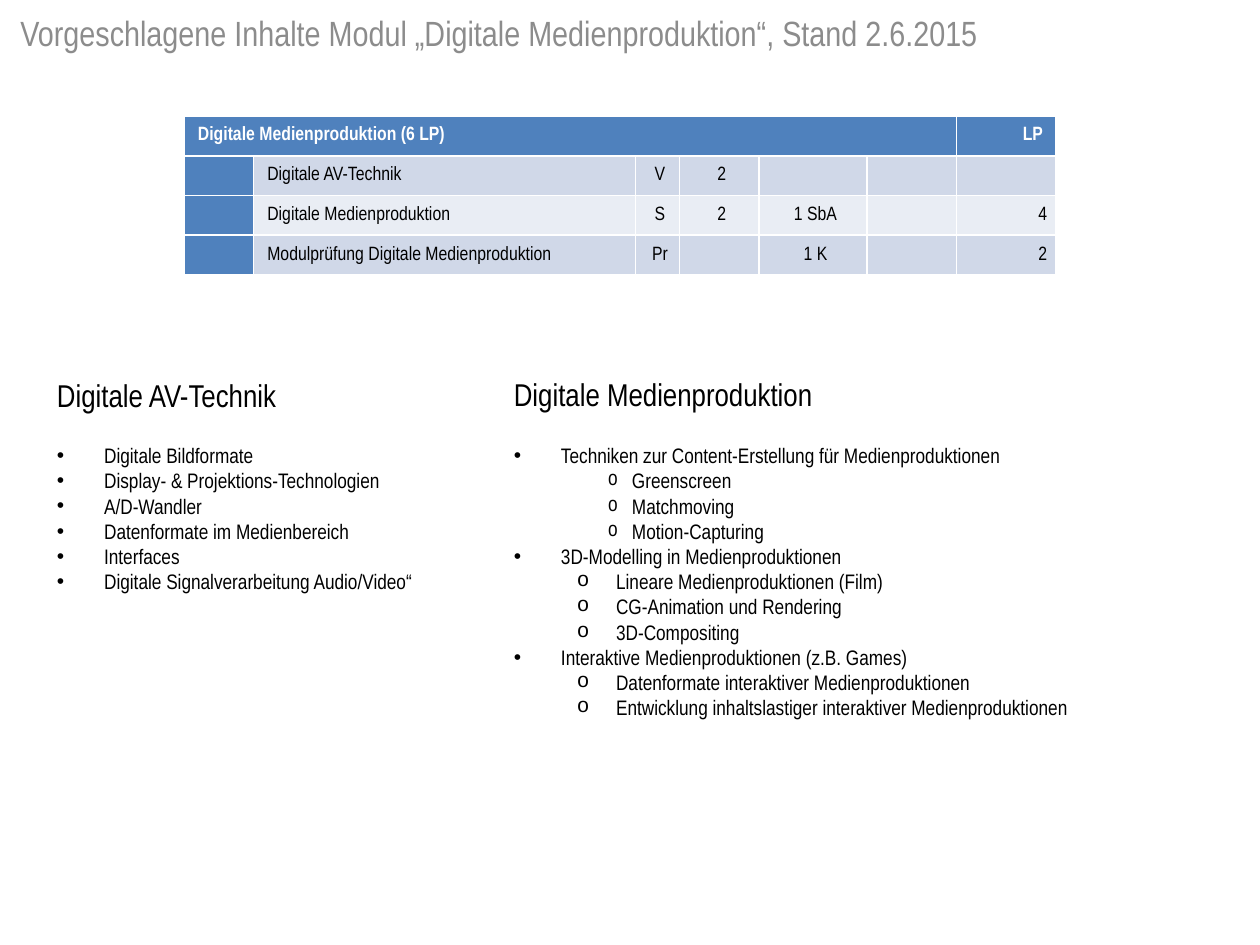
from dataclasses import dataclass

from lxml.etree import SubElement
from pptx import Presentation
from pptx.dml.color import RGBColor
from pptx.enum.text import MSO_ANCHOR, PP_ALIGN as Align
from pptx.oxml.ns import qn
from pptx.util import Cm, Pt


@dataclass(frozen=True)
class Theme:
    font: str = "Arial Narrow"
    title_size: int = 20
    heading_size: int = 18
    list_size: int = 12
    table_size: int = 11
    title: str = "8C8C8C"
    text: str = "000000"
    header_text: str = "FFFFFF"
    accent: str = "4F81BD"
    bands: tuple = ("D0D8E8", "E9EDF4")


THEME = Theme()

# Bullet character, bullet font, left margin and hanging indent in cm
TOPIC = ("•", "Arial", 0.95, 0.95)
METHOD = ("o", THEME.font, 2.38, 0.48)
DETAIL = ("o", "Courier New", 2.06, 0.79)

COLUMN_WIDTHS = (1.4, 7.7, 0.89, 1.6, 2.18, 1.8, 2.01)
COLUMN_ALIGNMENTS = (Align.LEFT, Align.LEFT, *[Align.CENTER] * 4, Align.RIGHT)
ROW_HEIGHT = 0.8
MODULE_ROWS = (
    ("Digitale Medienproduktion (6 LP)", "", "", "", "", "", "LP\u00a0"),
    ("", "Digitale AV-Technik", "V", "2", "", "", ""),
    ("", "Digitale Medienproduktion", "S", "2", "1 SbA", "", "4"),
    ("", "Modulprüfung Digitale Medienproduktion", "Pr", "", "1 K", "", "2"),
)

AV_TOPICS = (
    (TOPIC, "Digitale Bildformate"),
    (TOPIC, "Display- & Projektions-Technologien"),
    (TOPIC, "A/D-Wandler"),
    (TOPIC, "Datenformate im Medienbereich"),
    (TOPIC, "Interfaces"),
    (TOPIC, "Digitale Signalverarbeitung Audio/Video“"),
)
PRODUCTION_TOPICS = (
    (TOPIC, "Techniken zur Content-Erstellung für Medienproduktionen"),
    (METHOD, "Greenscreen"),
    (METHOD, "Matchmoving"),
    (METHOD, "Motion-Capturing"),
    (TOPIC, "3D-Modelling in Medienproduktionen"),
    (DETAIL, "Lineare Medienproduktionen (Film)"),
    (DETAIL, "CG-Animation und Rendering"),
    (DETAIL, "3D-Compositing"),
    (TOPIC, "Interaktive Medienproduktionen (z.B. Games)"),
    (DETAIL, "Datenformate interaktiver Medienproduktionen"),
    (DETAIL, "Entwicklung inhaltslastiger interaktiver Medienproduktionen"),
)


def style_font(paragraph, size, color=THEME.text, bold=False):
    font = paragraph.font
    font.name = THEME.font
    font.size = Pt(size)
    font.bold = bold
    font.color.rgb = RGBColor.from_string(color)


def add_text_frame(slide, left, top, width, height, wrap=True):
    box = slide.shapes.add_textbox(Cm(left), Cm(top), Cm(width), Cm(height))
    box.text_frame.word_wrap = wrap
    return box.text_frame


def add_line(slide, text, place, size, color=THEME.text, wrap=False):
    paragraph = add_text_frame(slide, *place, wrap).paragraphs[0]
    paragraph.text = text
    style_font(paragraph, size, color)


def set_bullet(paragraph, character, font, margin, hanging):
    properties = paragraph._p.get_or_add_pPr()
    properties.set("marL", str(Cm(margin)))
    properties.set("indent", str(-Cm(hanging)))
    SubElement(properties, qn("a:buFont"), typeface=font)
    SubElement(properties, qn("a:buChar"), char=character)


def add_bullet_list(slide, items, place):
    frame = add_text_frame(slide, *place)
    for index, (bullet, text) in enumerate(items):
        paragraph = frame.add_paragraph() if index else frame.paragraphs[0]
        paragraph.text = text
        paragraph.level = 1 if bullet is DETAIL else 0
        set_bullet(paragraph, *bullet)
        style_font(paragraph, THEME.list_size)


def fill_cell(cell, text, alignment, fill, color, bold):
    cell.fill.solid()
    cell.fill.fore_color.rgb = RGBColor.from_string(fill)
    cell.vertical_anchor = MSO_ANCHOR.MIDDLE
    cell.margin_left = cell.margin_right = Cm(0.18)
    cell.margin_top = cell.margin_bottom = 0
    paragraph = cell.text_frame.paragraphs[0]
    paragraph.text = text
    paragraph.alignment = alignment
    paragraph._p.get_or_add_pPr().set("marL", str(Cm(0.1)))
    if text:
        paragraph.space_before = paragraph.space_after = Pt(3)
    style_font(paragraph, THEME.table_size, color, bold)


def add_module_table(slide, left, top):
    """The table style supplies the white rules between the cells."""
    size = Cm(sum(COLUMN_WIDTHS)), Cm(ROW_HEIGHT * len(MODULE_ROWS))
    table = slide.shapes.add_table(
        len(MODULE_ROWS), len(COLUMN_WIDTHS), Cm(left), Cm(top), *size).table
    table.first_col = True
    for column, width in zip(table.columns, COLUMN_WIDTHS):
        column.width = Cm(width)
    for row_index, values in enumerate(MODULE_ROWS):
        table.rows[row_index].height = Cm(ROW_HEIGHT)
        header = row_index == 0
        band = THEME.bands[(row_index - 1) % 2]
        for column_index, text in enumerate(values):
            fill_cell(
                table.cell(row_index, column_index), text,
                COLUMN_ALIGNMENTS[column_index],
                THEME.accent if header or column_index == 0 else band,
                THEME.header_text if header else THEME.text, header)
    table.cell(0, 0).merge(table.cell(0, len(COLUMN_WIDTHS) - 2))


def main():
    presentation = Presentation()
    presentation.slide_width, presentation.slide_height = Cm(25.4), Cm(19.05)
    slide = presentation.slides.add_slide(presentation.slide_layouts[6])

    add_line(slide, "Vorgeschlagene Inhalte Modul „Digitale Medienproduktion“, Stand 2.6.2015",
             (0.16, 0.1, 24.94, 1.22), THEME.title_size, THEME.title, wrap=True)
    add_module_table(slide, 3.71, 2.34)
    add_bullet_list(slide, AV_TOPICS, (0.9, 8.8, 8.74, 3.33))
    add_bullet_list(slide, PRODUCTION_TOPICS, (10.11, 8.8, 12.7, 5.89))
    add_line(slide, "Digitale AV-Technik", (0.9, 7.46, 5.49, 1.02), THEME.heading_size)
    add_line(slide, "Digitale Medienproduktion", (10.11, 7.44, 7.54, 1.02), THEME.heading_size)

    presentation.save("out.pptx")


if __name__ == "__main__":
    main()
